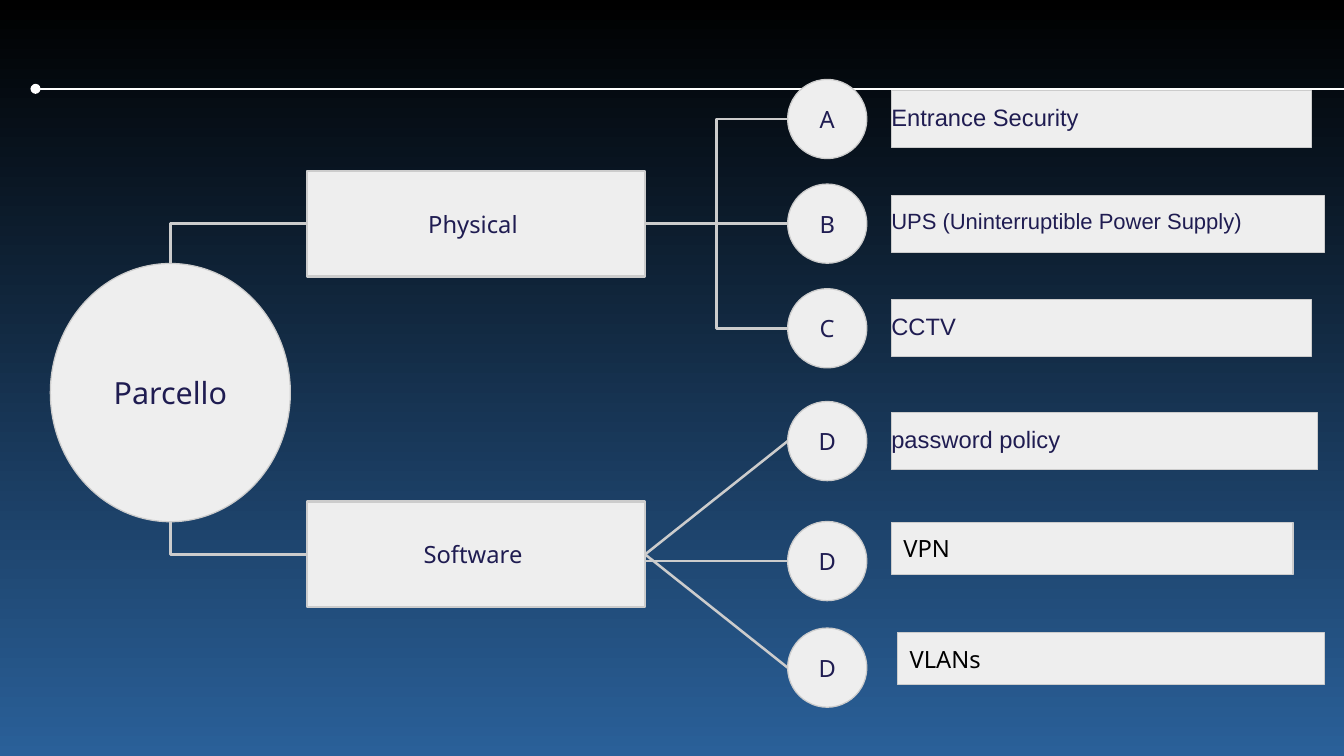
import pptx
import pptx.util
import pptx.dml.color
import pptx.enum.shapes
import pptx.enum.text
import pptx.oxml.ns
import lxml.etree

Cm, Pt = pptx.util.Cm, pptx.util.Pt
RGBColor = pptx.dml.color.RGBColor
SHAPE = pptx.enum.shapes.MSO_SHAPE
LINK = pptx.enum.shapes.MSO_CONNECTOR
ANCHOR = pptx.enum.text.MSO_ANCHOR
ALIGN = pptx.enum.text.PP_ALIGN
qn = pptx.oxml.ns.qn

BLACK = RGBColor(0x00, 0x00, 0x00)
BLUE = RGBColor(0x2A, 0x60, 0x99)
WHITE = RGBColor(0xFF, 0xFF, 0xFF)
PALE = RGBColor(0xEE, 0xEE, 0xEE)
GREY = RGBColor(0xCC, 0xCC, 0xCC)
NAVY = RGBColor(0x1F, 0x1C, 0x51)

prs = pptx.Presentation()
prs.slide_width, prs.slide_height = Cm(28), Cm(15.75)
s = prs.slides.add_slide(prs.slide_layouts[6])

# Background: black at the top to blue at the bottom
fill = s.background.fill
fill.gradient()
fill.gradient_angle = 270
for stop, position, color in zip(fill.gradient_stops, (0, 1), (BLACK, BLUE)):
    stop.position = position
    stop.color.rgb = color


def add_node(kind, x, y, w, h, text, size=14, font="Noto Sans", color=NAVY,
             line=0, centred=True, inset=0.25):
    sp = s.shapes.add_shape(kind, Cm(x), Cm(y), Cm(w), Cm(h))
    sp.shadow.inherit = False
    sp.fill.solid()
    sp.fill.fore_color.rgb = PALE
    sp.line.color.rgb = GREY
    sp.line.width = Pt(line)
    tf = sp.text_frame
    tf.word_wrap = True
    tf.margin_left = tf.margin_right = Cm(inset)
    tf.margin_top = tf.margin_bottom = Cm(0.25)
    tf.vertical_anchor = ANCHOR.MIDDLE if centred else ANCHOR.TOP
    p = tf.paragraphs[0]
    p.text = text
    p.alignment = ALIGN.CENTER if centred else ALIGN.LEFT
    p.font.size, p.font.name, p.font.color.rgb = Pt(size), font, color
    return sp


def add_link(kind, x1, y1, x2, y2, color=GREY, glue=()):
    c = s.shapes.add_connector(kind, Cm(x1), Cm(y1), Cm(x2), Cm(y2))
    c.line.color.rgb = color
    c.line.width = Pt(1.5)
    lxml.etree.SubElement(c.element.spPr, qn("a:effectLst"))
    # Attach the ends to connection sites of the shapes
    for tag, (sp, site) in zip(("a:stCxn", "a:endCxn"), glue):
        end = lxml.etree.SubElement(c.element.nvCxnSpPr.cNvCxnSpPr, qn(tag))
        end.set("id", str(sp.shape_id))
        end.set("idx", str(site))
    return c


# Title rule with a round start
rule = add_link(LINK.STRAIGHT, 0.74, 1.85, 28, 1.85, WHITE)
lxml.etree.SubElement(rule.line._get_or_add_ln(), qn("a:headEnd")).set("type", "oval")

# Root circle and the two branches
root = add_node(SHAPE.OVAL, 1.05, 5.49, 5, 5.38, "Parcello", size=18)
physical = add_node(SHAPE.RECTANGLE, 6.4, 3.56, 7.04, 2.2, "Physical ", line=1.5)
software = add_node(SHAPE.RECTANGLE, 6.4, 10.45, 7.04, 2.2, "Software ", line=1.5)
PHYSICAL_Y, SOFTWARE_Y = 4.66, 11.55

# Corner links from the branches to the root
for branch, y, root_y, site in ((physical, PHYSICAL_Y, 5.49, 0),
                                (software, SOFTWARE_Y, 10.87, 4)):
    corner = add_link(LINK.ELBOW, 6.4, y, 3.55, root_y,
                      glue=((branch, 1), (root, site)))
    corner.element.spPr.find(qn("a:prstGeom")).set("prst", "bentConnector2")

# Letter circles with their links: letter, centre, link kind, link start
RIGHT, CIRCLE_X, CIRCLE_D = 13.44, 16.41, 1.65
for letter, y, kind, start_y in (
        ("A", 2.48, LINK.ELBOW, PHYSICAL_Y),
        ("B", 4.66, LINK.STRAIGHT, PHYSICAL_Y),
        ("C", 6.84, LINK.ELBOW, PHYSICAL_Y),
        ("D", 9.19, LINK.STRAIGHT, SOFTWARE_Y),
        ("D", 11.69, LINK.STRAIGHT, 11.69),
        ("D", 13.91, LINK.STRAIGHT, SOFTWARE_Y)):
    add_link(kind, RIGHT, start_y, CIRCLE_X, y)
    add_node(SHAPE.OVAL, CIRCLE_X, y - CIRCLE_D / 2, CIRCLE_D, CIRCLE_D, letter)

# Label bars: text, top, width, size
for text, y, w, size in (("Entrance Security", 1.89, 8.75, 14),
                         ("UPS (Uninterruptible Power Supply)", 4.07, 9.02, 13),
                         ("CCTV", 6.24, 8.75, 14),
                         ("password policy", 8.6, 8.88, 14)):
    add_node(SHAPE.RECTANGLE, 18.57, y, w, 1.19, text, size, "Arial",
             centred=False, inset=0)
for text, x, y, w in (("VPN", 18.57, 10.88, 8.37), ("VLANs", 18.7, 13.18, 8.89)):
    add_node(SHAPE.RECTANGLE, x, y, w, 1.09, text, color=BLACK, centred=False)

prs.save("out.pptx")
